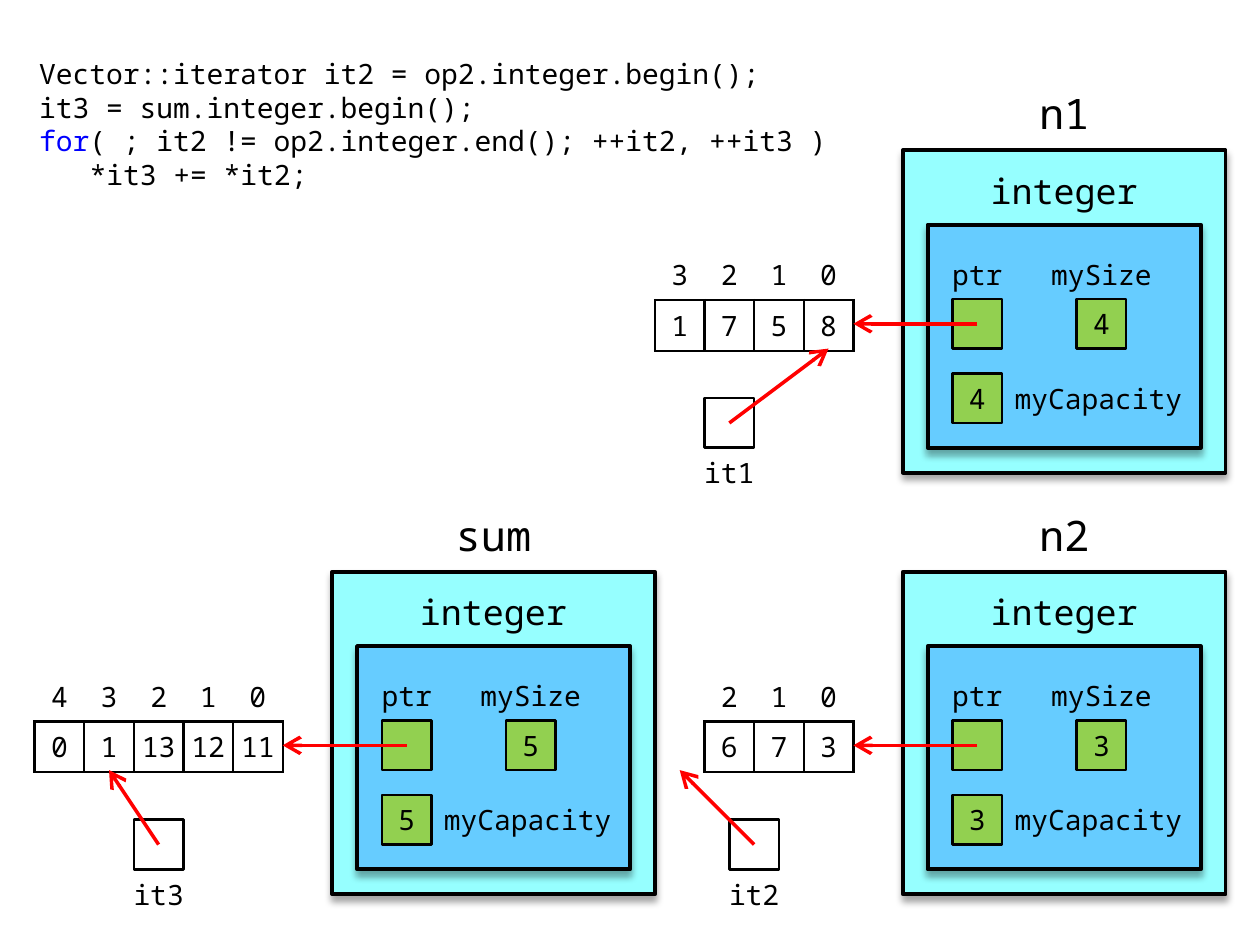
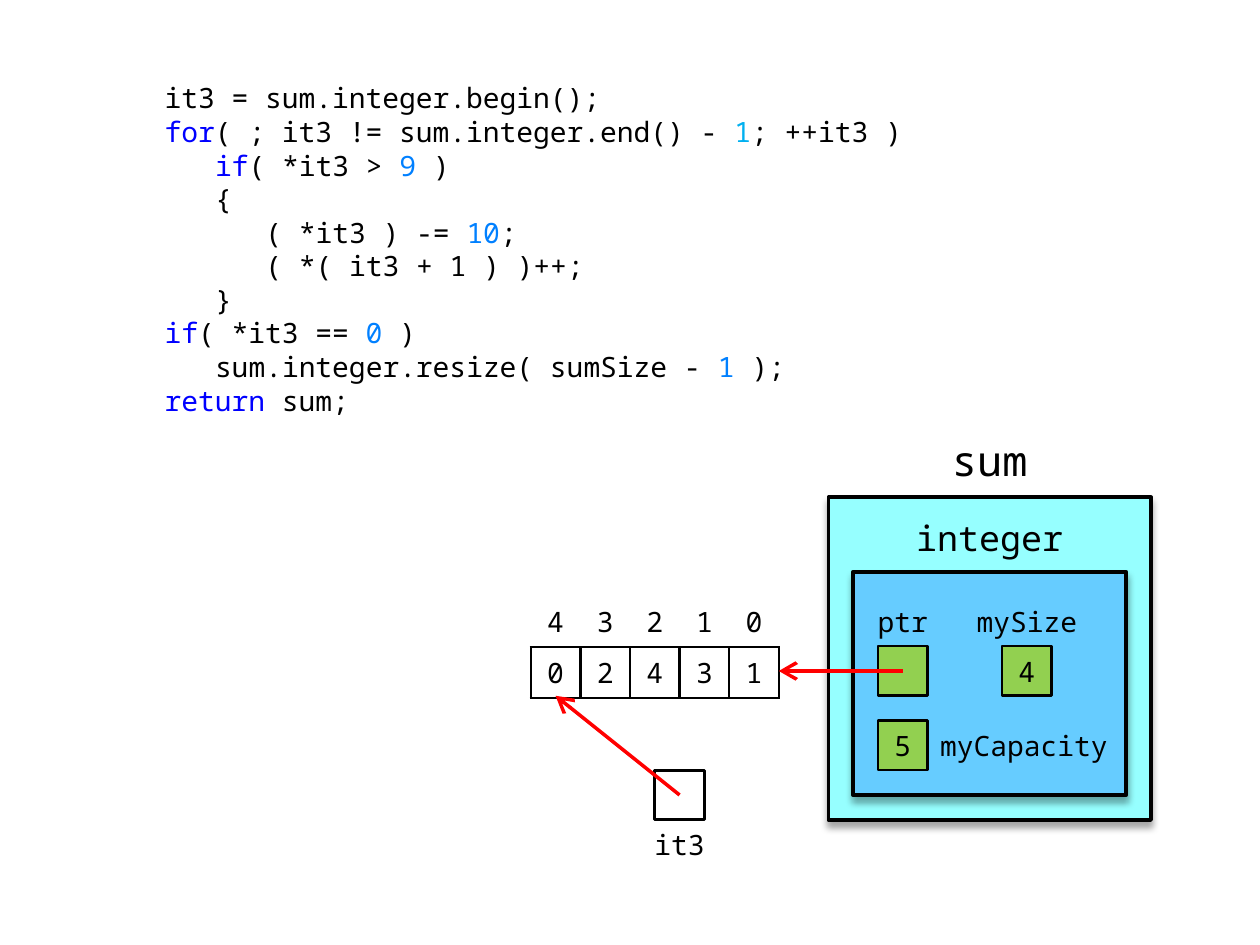
"""Build two slides that step through adding and carrying digit vectors with iterators."""
from dataclasses import dataclass
from typing import Optional

from lxml import etree
from pptx import Presentation
from pptx.dml.color import RGBColor
from pptx.enum.shapes import MSO_CONNECTOR, MSO_SHAPE
from pptx.enum.text import MSO_ANCHOR, MSO_AUTO_SIZE, PP_ALIGN
from pptx.oxml import parse_xml
from pptx.oxml.ns import nsdecls, qn
from pptx.util import Pt

RECT = MSO_SHAPE.RECTANGLE
PROCESS = MSO_SHAPE.FLOWCHART_PROCESS
STRAIGHT = MSO_CONNECTOR.STRAIGHT
CENTER, LEFT = PP_ALIGN.CENTER, PP_ALIGN.LEFT
MIDDLE, TOP = MSO_ANCHOR.MIDDLE, MSO_ANCHOR.TOP
NO_FIT = MSO_AUTO_SIZE.NONE

BLACK = RGBColor(0x00, 0x00, 0x00)
WHITE = RGBColor(0xFF, 0xFF, 0xFF)
CYAN = RGBColor(0x96, 0xFF, 0xFF)
BLUE = RGBColor(0x66, 0xCC, 0xFF)
GREEN = RGBColor(0x92, 0xD0, 0x50)
RED = RGBColor(0xFF, 0x00, 0x00)
KEYWORD = RGBColor(0x00, 0x00, 0xFF)
NUMBER = RGBColor(0x00, 0x80, 0xFF)
LIGHT_NUMBER = RGBColor(0x00, 0xB0, 0xF0)

FONT = "Noto Sans Mono"
UNIT = 28.35
CODE_INDENT = 28.8
NO_STYLE = "{2D5ABB26-0587-4C30-8999-92F81FD0307C}"


@dataclass(frozen=True)
class CodeLine:
    level: int
    runs: tuple


@dataclass(frozen=True)
class Iterator:
    name: str
    x: float
    y: float
    tip: float


@dataclass(frozen=True)
class Number:
    name: str
    left: float
    top: float
    digits: tuple
    size: str
    capacity: str
    iterator: Iterator


@dataclass(frozen=True)
class Page:
    code_box: tuple
    code: tuple
    numbers: tuple


def plain(text: str, level: int = 0) -> CodeLine:
    return CodeLine(level, ((text, BLACK),))


PAGES = (
    Page(
        (19.5, 28.8, 468, 85),
        (
            plain("Vector::iterator it2 = op2.integer.begin();"),
            plain("it3 = sum.integer.begin();"),
            CodeLine(0, (("for", KEYWORD),
                         ("( ; it2 != op2.integer.end(); ++it2, ++it3 )", BLACK))),
            plain("*it3 += *it2;", 1),
        ),
        (
            Number("n1", 516, 85.8, ("1", "7", "5", "8"), "4", "4",
                   Iterator("it1", -4, 5, -1.5)),
            Number("n2", 516, 326.7, ("6", "7", "3"), "3", "3",
                   Iterator("it2", -3.5, 5, -4.5)),
            Number("sum", 189.9, 326.7, ("0", "1", "13", "12", "11"), "5", "5",
                   Iterator("it3", -4, 5, -4.5)),
        ),
    ),
    Page(
        (62.4, 42.6, 468, 198.5),
        (
            plain("it3 = sum.integer.begin();", 1),
            CodeLine(1, (("for", KEYWORD), ("( ; it3 != sum.integer.end() - ", BLACK),
                         ("1", LIGHT_NUMBER), ("; ++it3 )", BLACK))),
            CodeLine(2, (("if", KEYWORD), ("( *it3 > ", BLACK),
                         ("9", NUMBER), (" )", BLACK))),
            plain("{", 2),
            CodeLine(3, (("( *it3 ) -= ", BLACK), ("10", NUMBER), (";", BLACK))),
            plain("( *( it3 + 1 ) )++;", 3),
            plain("}", 2),
            CodeLine(1, (("if", KEYWORD), ("( *it3 == ", BLACK),
                         ("0", NUMBER), (" )", BLACK))),
            CodeLine(2, (("sum.integer.resize( sumSize - ", BLACK),
                         ("1", NUMBER), (" );", BLACK))),
            CodeLine(1, (("return", KEYWORD), (" sum;", BLACK))),
        ),
        (
            Number("sum", 473.4, 284.2, ("0", "2", "4", "3", "1"), "4", "5",
                   Iterator("it3", -3.5, 5.5, -5.5)),
        ),
    ),
)


def add_run(p, text: str, size: float = 16, color: RGBColor = BLACK) -> None:
    r = p.add_run()
    r.text = text
    r.font.name, r.font.size = FONT, Pt(size)
    r.font.color.rgb = color


def write(tf, text: str, *, size: float = 16, align=CENTER, inset: float = 0) -> None:
    tf.word_wrap = True
    tf.auto_size = NO_FIT
    tf.vertical_anchor = MIDDLE
    tf.margin_left = tf.margin_right = Pt(inset)
    tf.margin_top = tf.margin_bottom = Pt(0)
    p = tf.paragraphs[0]
    p.alignment = align
    add_run(p, text, size)


class Canvas:
    """Draws on a slide in grid units measured from one number's corner."""

    def __init__(self, slide, left: float, top: float):
        self.slide, self.left, self.top = slide, left, top

    def at(self, x: float, y: float) -> tuple:
        return Pt(self.left + x * UNIT), Pt(self.top + y * UNIT)

    def label(self, text: str, x: float, y: float, w: float, h: float = 1, **fmt) -> None:
        sp = self.slide.shapes.add_textbox(*self.at(x, y), Pt(w * UNIT), Pt(h * UNIT))
        write(sp.text_frame, text, **fmt)

    def box(self, x: float, y: float, w: float, h: float, fill: Optional[RGBColor], *,
            kind=RECT, line: float = 1.5, text: str = "", shadow: bool = False,
            **fmt) -> None:
        sp = self.slide.shapes.add_shape(kind, *self.at(x, y), Pt(w * UNIT), Pt(h * UNIT))
        sp.shadow.inherit = False
        if fill is None:
            sp.fill.background()
            sp.line.fill.background()
        else:
            sp.fill.solid()
            sp.fill.fore_color.rgb = fill
            sp.line.color.rgb = BLACK
            sp.line.width = Pt(line)
        if text:
            write(sp.text_frame, text, **fmt)
        if shadow:
            effects = sp._element.spPr.find(qn("a:effectLst"))
            effects.append(parse_xml(
                f'<a:outerShdw {nsdecls("a")} blurRad="{Pt(4)}" dist="{Pt(3)}" '
                'dir="5400000" rotWithShape="0"><a:srgbClr val="000000">'
                '<a:alpha val="35000"/></a:srgbClr></a:outerShdw>'))

    def arrow(self, x1: float, y1: float, x2: float, y2: float) -> None:
        sp = self.slide.shapes.add_connector(STRAIGHT, *self.at(x1, y1), *self.at(x2, y2))
        sp.line.color.rgb = RED
        sp.line.width = Pt(2)
        etree.SubElement(sp.line._get_or_add_ln(), qn("a:tailEnd"),
                         type="arrow", w="lg", len="lg")
        etree.SubElement(sp._element.spPr, qn("a:effectLst"))

    def array(self, digits: tuple, right: float, y: float) -> None:
        n = len(digits)
        frame = self.slide.shapes.add_table(
            2, n, *self.at(right - n, y), Pt(n * UNIT), Pt(2 * UNIT))
        table = frame.table
        table.first_row = table.horz_banding = False
        table._tbl.tblPr.find(qn("a:tableStyleId")).text = NO_STYLE
        for row in table.rows:
            row.height = Pt(UNIT)
        for i, digit in enumerate(digits):
            table.columns[i].width = Pt(UNIT)
            index, value = table.cell(0, i), table.cell(1, i)
            index.fill.background()
            value.fill.solid()
            value.fill.fore_color.rgb = WHITE
            for cell, text, sides in ((index, str(n - 1 - i), "B"), (value, digit, "LRTB")):
                cell.vertical_anchor = MIDDLE
                cell.margin_left = cell.margin_right = Pt(0)
                cell.margin_top = cell.margin_bottom = Pt(3.6)
                p = cell.text_frame.paragraphs[0]
                p.alignment = CENTER
                add_run(p, text)
                set_borders(cell, sides)


def set_borders(cell, sides: str) -> None:
    tcPr = cell._tc.get_or_add_tcPr()
    for i, side in enumerate(sides):
        tcPr.insert(i, parse_xml(
            f'<a:ln{side} {nsdecls("a")} w="{Pt(1.5)}"><a:solidFill>'
            f'<a:srgbClr val="{BLACK}"/></a:solidFill></a:ln{side}>'))


def draw_number(slide, number: Number) -> None:
    c = Canvas(slide, number.left, number.top)
    c.array(number.digits, -1, 2)

    it = number.iterator
    c.box(it.x, it.y, 1, 1, WHITE)
    c.label(it.name, it.x - 0.5, it.y + 1, 2)
    c.arrow(it.x + 0.5, it.y + 0.5, it.tip, 4)

    c.box(0, 0, 6.5, 6.5, CYAN, kind=PROCESS, line=2.25, shadow=True)
    c.label("integer", 1.5, 0.06, 3.5, 1.5, size=20)
    c.label(number.name, 2, -1.5, 2.5, 1.5, size=24)
    c.box(0.5, 1.5, 5.5, 4.5, BLUE, kind=PROCESS, line=2.25, shadow=True)
    c.box(0.5, 2, 2, 1, None, kind=PROCESS, text="ptr")
    c.box(1, 4.5, 1, 1, GREEN, text=number.capacity)
    c.box(2, 4.5, 4, 1, None, kind=PROCESS, text="myCapacity", align=LEFT, inset=7.2)
    c.box(1, 3, 1, 1, GREEN)
    c.box(3.5, 3, 1, 1, GREEN, text=number.size)
    c.box(2.5, 2, 3, 1, None, kind=PROCESS, text="mySize")
    c.arrow(1.5, 3.5, -1, 3.5)


def write_code(sp, page: Page) -> None:
    sp.left, sp.top, sp.width, sp.height = map(Pt, page.code_box)
    tf = sp.text_frame
    tf.word_wrap = True
    tf.auto_size = NO_FIT
    tf.vertical_anchor = TOP
    tf.margin_left, tf.margin_right = Pt(2.88), Pt(7.2)
    tf.margin_top = tf.margin_bottom = Pt(3.6)
    for i, line in enumerate(page.code):
        p = tf.add_paragraph() if i else tf.paragraphs[0]
        p.alignment = LEFT
        p.line_spacing = 1.0
        p.space_before = p.space_after = Pt(0)
        pPr = p._p.get_or_add_pPr()
        pPr.set("marL", str(Pt(line.level * CODE_INDENT)))
        pPr.set("indent", "0")
        etree.SubElement(pPr, qn("a:buNone"))
        for text, color in line.runs:
            add_run(p, text, color=color)


def main() -> None:
    prs = Presentation()
    prs.slide_width, prs.slide_height = Pt(720), Pt(540)
    for page in PAGES:
        slide = prs.slides.add_slide(prs.slide_layouts[1])
        title = slide.shapes.title._element
        title.getparent().remove(title)
        write_code(slide.placeholders[1], page)
        for number in page.numbers:
            draw_number(slide, number)
    prs.save("out.pptx")


main()
